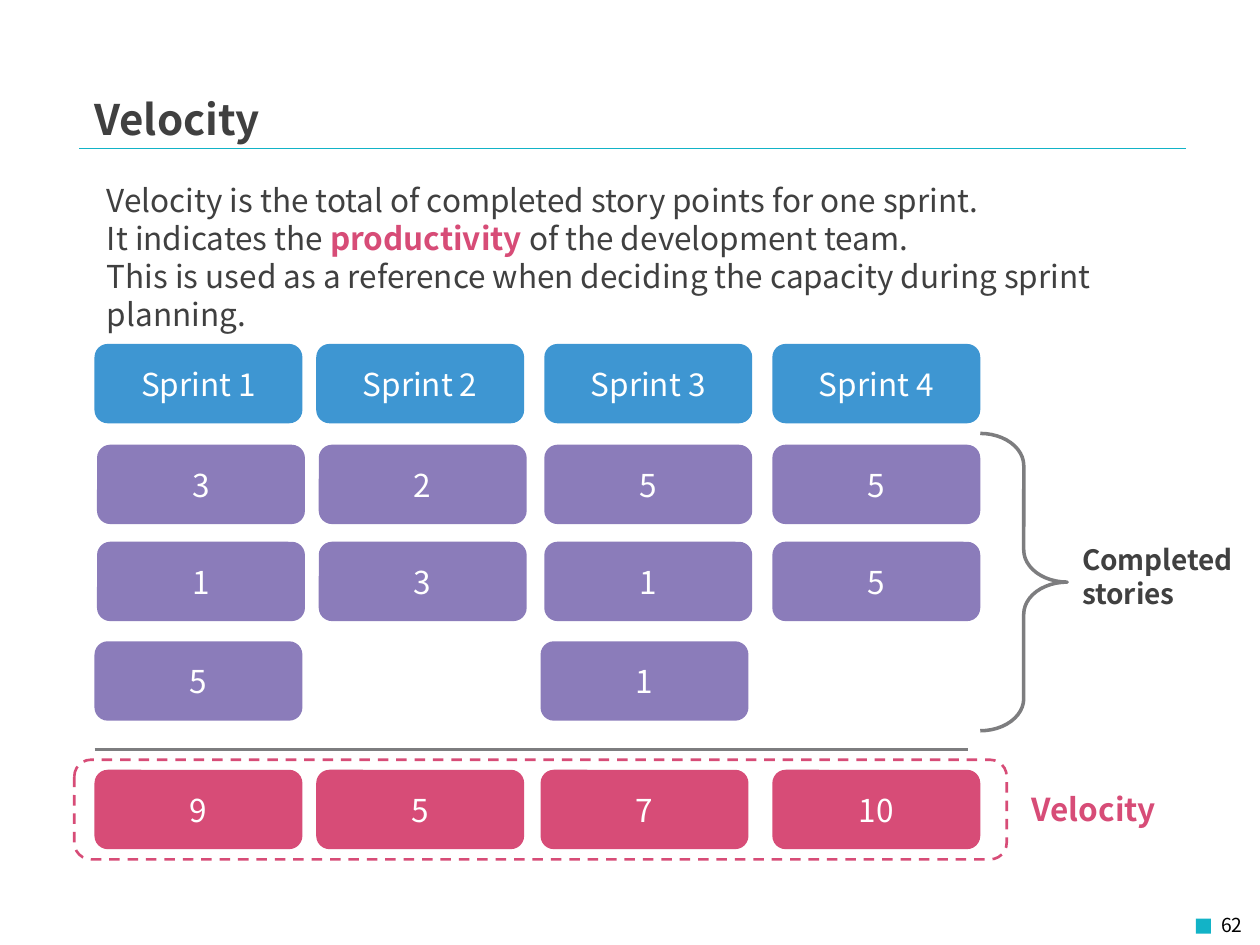
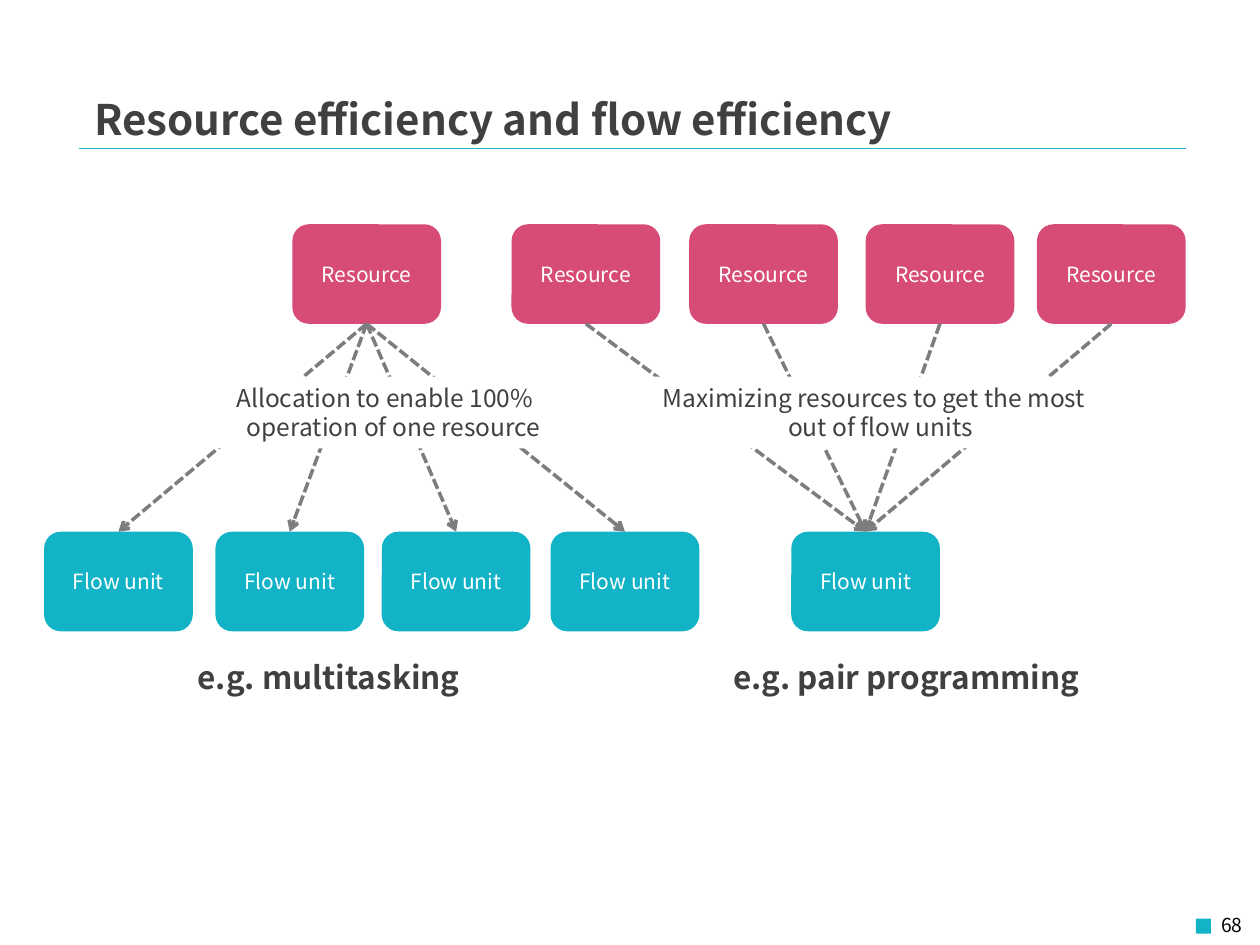
from dataclasses import dataclass
from itertools import product

from pptx import Presentation
from pptx.dml.color import RGBColor
from pptx.enum.dml import MSO_LINE
from pptx.enum.shapes import MSO_CONNECTOR, MSO_SHAPE
from pptx.enum.text import MSO_ANCHOR, PP_ALIGN
from pptx.oxml.ns import qn
from pptx.util import Inches, Pt
from lxml.etree import SubElement

ROUND = MSO_SHAPE.ROUNDED_RECTANGLE
RECT = MSO_SHAPE.RECTANGLE
BRACE = MSO_SHAPE.RIGHT_BRACE
STRAIGHT = MSO_CONNECTOR.STRAIGHT
DASH = MSO_LINE.DASH
SHORT_DASH = MSO_LINE.SQUARE_DOT
MIDDLE = MSO_ANCHOR.MIDDLE
TOP = MSO_ANCHOR.TOP
LEFT, CENTER, RIGHT = PP_ALIGN.LEFT, PP_ALIGN.CENTER, PP_ALIGN.RIGHT


@dataclass(frozen=True)
class Theme:
    teal: str = "12B3C7"
    blue: str = "3E96D2"
    violet: str = "8B7CBA"
    pink: str = "D74C77"
    gray: str = "7D7D7F"
    ink: str = "404040"
    black: str = "000000"
    white: str = "FFFFFF"
    head: str = "Noto Sans CJK JP"
    body: str = "Noto Sans CJK KR"
    title: int = 24
    text: int = 18
    label: int = 16
    note: int = 14
    small: int = 12
    page: int = 11


THEME = Theme()


def rgb(color):
    return RGBColor.from_string(color)


def inches(*sizes):
    return [Inches(size) for size in sizes]


def style(font, size, color, face, bold=False):
    font.size = Pt(size)
    font.color.rgb = rgb(color)
    font.name = face
    font.bold = bold


def write(frame, lines, size, color, face=THEME.body, bold=False, align=LEFT):
    frame.word_wrap = True
    for i, line in enumerate(lines):
        para = frame.paragraphs[0] if i == 0 else frame.add_paragraph()
        para.text = line
        para.alignment = align
        style(para.font, size, color, face, bold)


def add_text(slide, area, lines, size, color, **looks):
    frame = slide.shapes.add_textbox(*inches(*area)).text_frame
    write(frame, lines, size, color, **looks)
    return frame


def add_head(slide, area, lines, size, color=THEME.ink):
    add_text(slide, area, lines, size, color, face=THEME.head, bold=True)


def add_form(slide, kind, area, fill=None, line=None, width=2):
    form = slide.shapes.add_shape(kind, *inches(*area))
    form.shadow.inherit = False
    if fill:
        form.fill.solid()
        form.fill.fore_color.rgb = rgb(fill)
    else:
        form.fill.background()
    if line:
        form.line.color.rgb = rgb(line)
        form.line.width = Pt(width)
    else:
        form.line.fill.background()
    return form


def add_card(slide, area, text, fill, size):
    card = add_form(slide, ROUND, area, fill)
    card.text_frame.vertical_anchor = MIDDLE
    write(card.text_frame, [text], size, THEME.white, align=CENTER)
    return card


def add_line(slide, ends, color, width):
    line = slide.shapes.add_connector(STRAIGHT, *inches(*ends))
    line.line.color.rgb = rgb(color)
    line.line.width = Pt(width)
    SubElement(line._element.spPr, qn("a:effectLst"))
    return line


def add_arrow(slide, start, end):
    arrow = add_line(slide, (0, 0, 1, 1), THEME.gray, 2)
    arrow.begin_connect(start, 2)
    arrow.end_connect(end, 0)
    arrow.line.dash_style = SHORT_DASH
    stroke = arrow._element.spPr.find(qn("a:ln"))
    SubElement(stroke, qn("a:tailEnd"), type="arrow")


def add_page(deck, title, number):
    slide = deck.slides.add_slide(deck.slide_layouts[6])
    add_line(slide, (0.63, 1.18, 9.41, 1.18), THEME.teal, 0.25)
    add_form(slide, RECT, (9.49, 7.29, 0.12, 0.12), THEME.teal)
    add_text(slide, (8.57, 7.2, 1.39, 0.3), [str(number)], THEME.page,
             THEME.black, face=THEME.head, align=RIGHT)
    add_head(slide, (0.65, 0.69, 7.74, 0.39), [title], THEME.title)
    return slide


def add_intro(slide, area):
    word = "productivity"
    frame = add_text(slide, area, [
        "Velocity is the total of completed story points for one sprint.",
        "It indicates the ",
        "This is used as a reference when deciding the capacity during sprint planning.",
    ], THEME.text, THEME.ink)
    para = frame.paragraphs[1]
    for text in (word, " of the development team."):
        run = para.add_run()
        run.text = text
        if text == word:
            run.font.bold = True
            run.font.color.rgb = rgb(THEME.pink)


def add_grid(slide, left, top):
    wide, high = 1.65, 0.63
    heads = [f"Sprint {i}" for i in range(1, 5)]
    rows = [
        (0, THEME.blue, heads, (0, 1.76, 3.57, 5.38)),
        (0.8, THEME.violet, "3255", (0.02, 1.78, 3.57, 5.38)),
        (1.57, THEME.violet, "1315", (0.02, 1.78, 3.57, 5.38)),
        (2.36, THEME.violet, "51", (0, 3.54)),
        (3.38, THEME.pink, ("9", "5", "7", "10"), (0, 1.76, 3.54, 5.38)),
    ]
    for down, fill, texts, places in rows:
        for text, across in zip(texts, places):
            area = (left + across, top + down, wide, high)
            add_card(slide, area, text, fill, THEME.text)
    floor = top + 3.22
    add_line(slide, (left, floor, left + 6.93, floor), THEME.gray, 2)
    brace = add_form(slide, BRACE, (left + 7.03, top + 0.71, 0.69, 2.36),
                     line=THEME.gray)
    brace.adjustments[0] = 0.37
    ring = add_form(slide, ROUND, (left - 0.16, top + 3.3, 7.4, 0.79),
                    line=THEME.pink, width=1.5)
    ring.line.dash_style = DASH
    add_head(slide, (left + 7.74, top + 1.53, 1.63, 0.64),
             ["Completed", "stories"], THEME.label)
    add_head(slide, (left + 7.34, top + 3.49, 2.03, 0.4), ["Velocity"],
             THEME.text, THEME.pink)


def add_fan(slide, left, top, sources, units, note, case):
    wide, high, drop = 1.18, 0.79, 2.44

    def row(places, down, text, fill):
        return [add_card(slide, (left + across, top + down, wide, high),
                         text, fill, THEME.small) for across in places]

    starts = row(sources, 0, "Resource", THEME.pink)
    ends = row(units, drop, "Flow unit", THEME.teal)
    for start, end in product(starts, ends):
        add_arrow(slide, start, end)
    across, span, text = note
    panel = add_form(slide, RECT, (left + across, top + 1.21, span, 0.57),
                     THEME.white)
    panel.text_frame.vertical_anchor = TOP
    write(panel.text_frame, [text], THEME.note, THEME.ink, align=CENTER)
    across, text = case
    add_head(slide, (left + across, top + 3.39, 3.6, 0.39), [text], THEME.text)


def main():
    deck = Presentation()
    deck.slide_width, deck.slide_height = inches(10, 7.5)

    slide = add_page(deck, "Velocity", 62)
    add_intro(slide, (0.75, 1.39, 9.05, 1.01))
    add_grid(slide, 0.75, 2.73)

    slide = add_page(deck, "Resource efficiency and flow efficiency", 68)
    add_fan(slide, 0.35, 1.78, (1.97,), (0, 1.36, 2.68, 4.02),
            (1.19, 3.17, "Allocation to enable 100%\toperation of one resource"),
            (1.12, "e.g. multitasking"))
    add_fan(slide, 4.06, 1.78, (0, 1.41, 2.81, 4.17), (2.22,),
            (1.1, 3.66, "Maximizing resources to get the most\tout of flow units"),
            (1.66, "e.g. pair programming"))
    deck.save("out.pptx")


if __name__ == "__main__":
    main()
